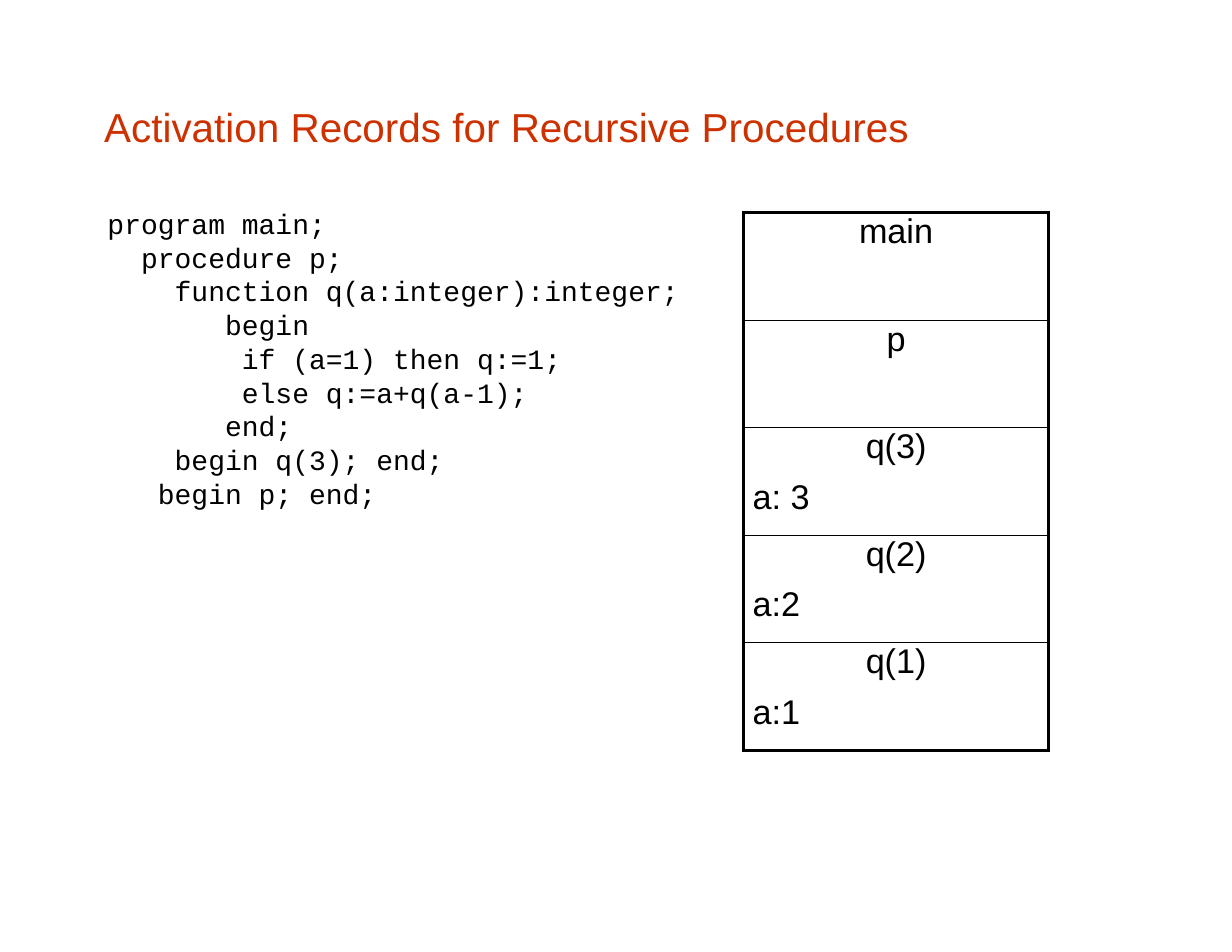
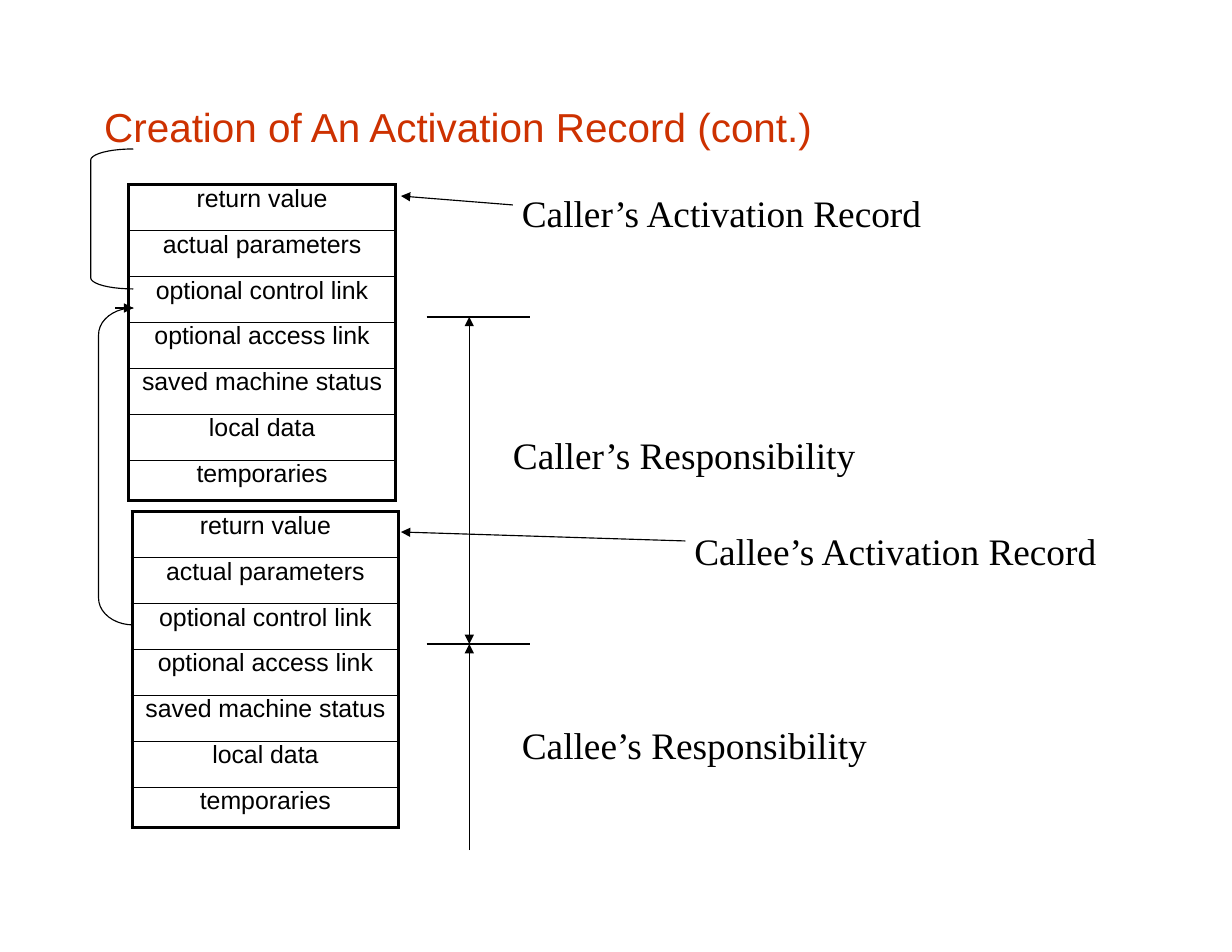
"""Build two slides on activation records: recursive procedures and record creation."""
from math import cos, pi, sin

from pptx import Presentation
from pptx.dml.color import RGBColor
from pptx.enum.shapes import MSO_CONNECTOR as Connector
from pptx.enum.text import PP_ALIGN as Align
from pptx.oxml import parse_xml
from pptx.oxml.ns import nsdecls
from pptx.util import Inches, Pt

COLORS = {"title": "CD3100", "ink": "000000"}
FORMATS = {
    "title": {"name": "Arial", "size": Pt(26)},
    "code": {"name": "Courier New", "size": Pt(18)},
    "label": {"name": "Times New Roman", "size": Pt(24)},
    "frame": {"name": "Arial", "size": Pt(22)},
    "field": {"name": "Arial", "size": Pt(16)},
}
THICK, THIN = 2.25, 1


def write_text(text_frame, lines, style, align=Align.LEFT, line_spacing=None, **margins):
    """Fill a text frame with one paragraph per line in the named style."""
    for index, line in enumerate(lines):
        paragraph = text_frame.paragraphs[0] if index == 0 else text_frame.add_paragraph()
        paragraph.text = line
        paragraph.alignment = align
        paragraph.line_spacing = line_spacing
        for attribute, value in FORMATS[style].items():
            setattr(paragraph.font, attribute, value)
        color = COLORS["title" if style == "title" else "ink"]
        paragraph.font.color.rgb = RGBColor.from_string(color)


def add_record_table(slide, left, top, widths, heights, rows, style):
    """Draw stacked records; a row with a single text spans all columns."""
    shape = slide.shapes.add_table(len(heights), len(widths), Inches(left), Inches(top),
                                   Inches(sum(widths)), Inches(sum(heights)))
    table = shape.table
    table.first_row = table.horz_banding = False
    for column, width in zip(table.columns, widths):
        column.width = Inches(width)
    last_row, last_column = len(heights) - 1, len(widths) - 1
    for row_index, texts in enumerate(rows):
        table.rows[row_index].height = Inches(heights[row_index])
        spans = len(texts) <= last_column
        if spans:
            table.cell(row_index, 0).merge(table.cell(row_index, last_column))
        for column_index in range(last_column + 1):
            cell = table.cell(row_index, column_index)
            margins = {"margin_left": 0, "margin_top": 0, "margin_right": 0, "margin_bottom": 0}
            if len(texts) > 1:
                margins["margin_left"] = Inches((0.08, 0.24)[column_index])
                margins["margin_top"] = Inches((0.45, 0)[column_index])
            for attribute, value in margins.items():
                setattr(cell, attribute, value)
            if column_index < len(texts):
                align = Align.LEFT if len(texts) > 1 else Align.CENTER
                write_text(cell.text_frame, [texts[column_index]], style, align)
            edges = {
                "lnL": THICK if column_index == 0 else 0,
                "lnR": THICK if spans or column_index == last_column else 0,
                "lnT": THICK if row_index == 0 else THIN,
                "lnB": THICK if row_index == last_row else THIN,
            }
            properties = cell._tc.get_or_add_tcPr()
            for edge, points in edges.items():
                paint = (f'<a:solidFill><a:srgbClr val="{COLORS["ink"]}"/></a:solidFill>'
                         if points else "<a:noFill/>")
                properties.append(parse_xml(
                    f'<a:{edge} {nsdecls("a")} w="{Pt(points)}">{paint}</a:{edge}>'))
            cell.fill.background()


presentation = Presentation()
presentation.slide_width, presentation.slide_height = Inches(11), Inches(8.5)
blank = presentation.slide_layouts[6]

code_lines = [
    "program main;",
    "  procedure p;",
    "    function q(a:integer):integer;",
    "       begin",
    "        if (a=1) then q:=1;",
    "        else q:=a+q(a-1);",
    "       end;",
    "    begin q(3); end;",
    "   begin p; end;",
]
slide_texts = [
    [
        ("title", 0.93, 0.91, 9.15, 0.42, ["Activation Records for Recursive Procedures"]),
        ("code", 0.96, 1.84, 5.2, 2.72, code_lines),
    ],
    [
        ("title", 0.93, 0.91, 9.15, 0.42, ["Creation of An Activation Record (cont.)"]),
        ("label", 4.66, 1.7, 3.7, 0.39, ["Caller’s Activation Record"]),
        ("label", 4.58, 3.86, 3.7, 0.39, ["Caller’s Responsibility"]),
        ("label", 6.2, 4.72, 3.7, 0.39, ["Callee’s Activation Record"]),
        ("label", 4.66, 6.45, 3.7, 0.39, ["Callee’s Responsibility"]),
    ],
]
slides = []
for texts in slide_texts:
    slide = presentation.slides.add_slide(blank)
    slides.append(slide)
    for style, left, top, width, height, lines in texts:
        box = slide.shapes.add_textbox(Inches(left), Inches(top), Inches(width), Inches(height))
        text_frame = box.text_frame
        text_frame.word_wrap = True
        for side in ("left", "top", "right", "bottom"):
            setattr(text_frame, f"margin_{side}", 0)
        write_text(text_frame, lines, style, line_spacing=Pt(21.7) if style == "code" else None)
recursion_slide, creation_slide = slides

stack = [["main"], ["p"], ["a: 3", "q(3)"], ["a:2", "q(2)"], ["a:1", "q(1)"]]
add_record_table(recursion_slide, 6.64, 1.9, [0.85, 1.87], [0.96] * 5, stack, "frame")

fields = ["return value", "actual parameters", "optional control link", "optional access link",
          "saved machine status", "local data", "temporaries"]
for left, top in [(1.15, 1.65), (1.18, 4.57)]:
    add_record_table(creation_slide, left, top, [2.38], [0.41] * 6 + [0.36],
                     [[field] for field in fields], "field")

link_right = 1.19
for top, bottom, radius_x, radius_y in [(2.75, 5.58, 0.31, 0.24), (1.33, 2.58, 0.38, 0.1)]:
    angles = [step * pi / 20 for step in range(11)]
    upper = [(link_right - radius_x * sin(angle), radius_y * (1 - cos(angle))) for angle in angles]
    points = [(x, top + y) for x, y in upper] + [(x, bottom - y) for x, y in reversed(upper)]
    points = [(Inches(x), Inches(y)) for x, y in points]
    builder = creation_slide.shapes.build_freeform(*points[0])
    builder.add_line_segments(points[1:], close=False)
    link = builder.convert_to_shape()
    link.shadow.inherit = False
    link.fill.background()
    link.line.color.rgb = RGBColor.from_string(COLORS["ink"])
    link.line.width = Pt(0.75)

lines = [
    (1.03, 2.75, 1.19, 2.75, ["tailEnd"]),
    (4.19, 2.83, 4.19, 5.75, ["headEnd", "tailEnd"]),
    (4.19, 7.59, 4.19, 5.75, ["tailEnd"]),
    (3.81, 2.83, 4.73, 2.83, []),
    (3.81, 5.75, 4.73, 5.75, []),
    (6.12, 4.83, 3.58, 4.75, ["tailEnd"]),
    (4.58, 1.83, 3.58, 1.75, ["tailEnd"]),
]
for *ends, arrowheads in lines:
    connector = creation_slide.shapes.add_connector(Connector.STRAIGHT, *map(Inches, ends))
    connector.line.color.rgb = RGBColor.from_string(COLORS["ink"])
    connector.line.width = Pt(0.75)
    outline = connector.line._get_or_add_ln()
    for arrowhead in arrowheads:
        outline.append(parse_xml(
            f'<a:{arrowhead} {nsdecls("a")} type="triangle" w="med" len="med"/>'))
    connector._element.spPr.append(parse_xml(f'<a:effectLst {nsdecls("a")}/>'))

presentation.save("out.pptx")
